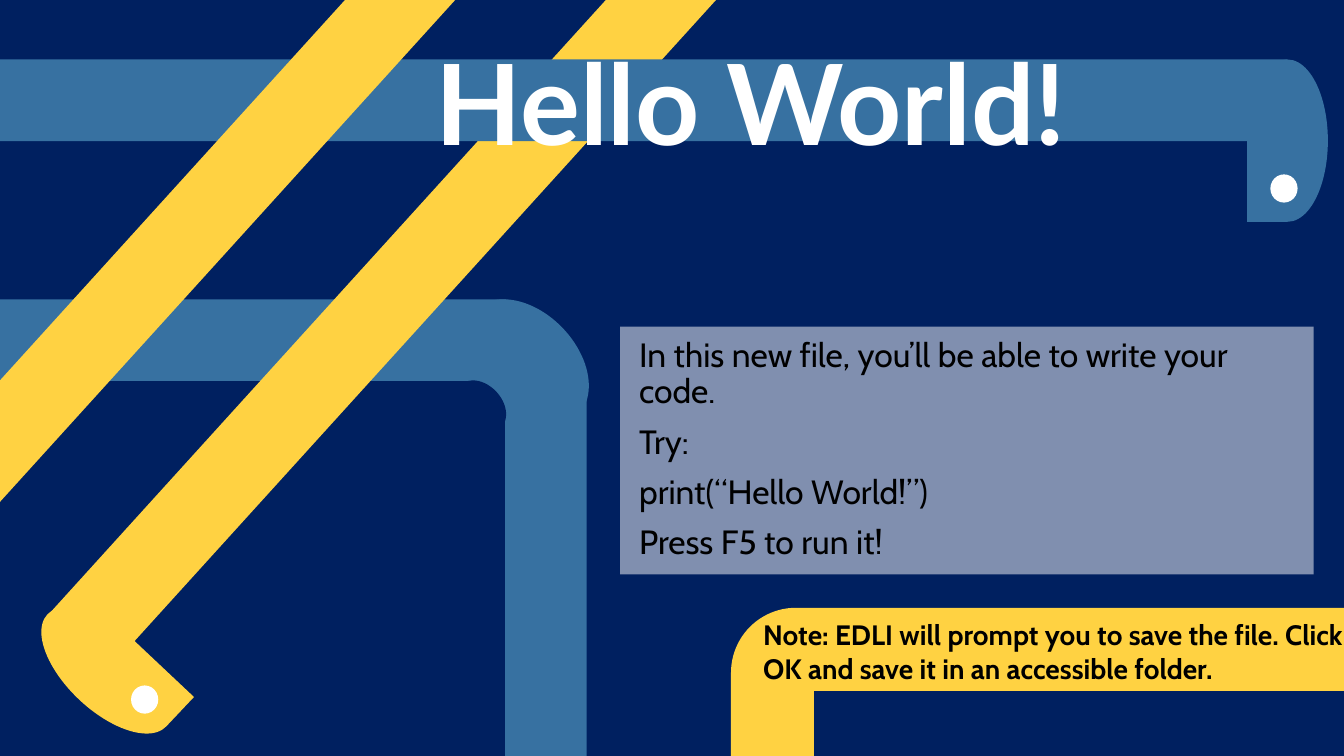
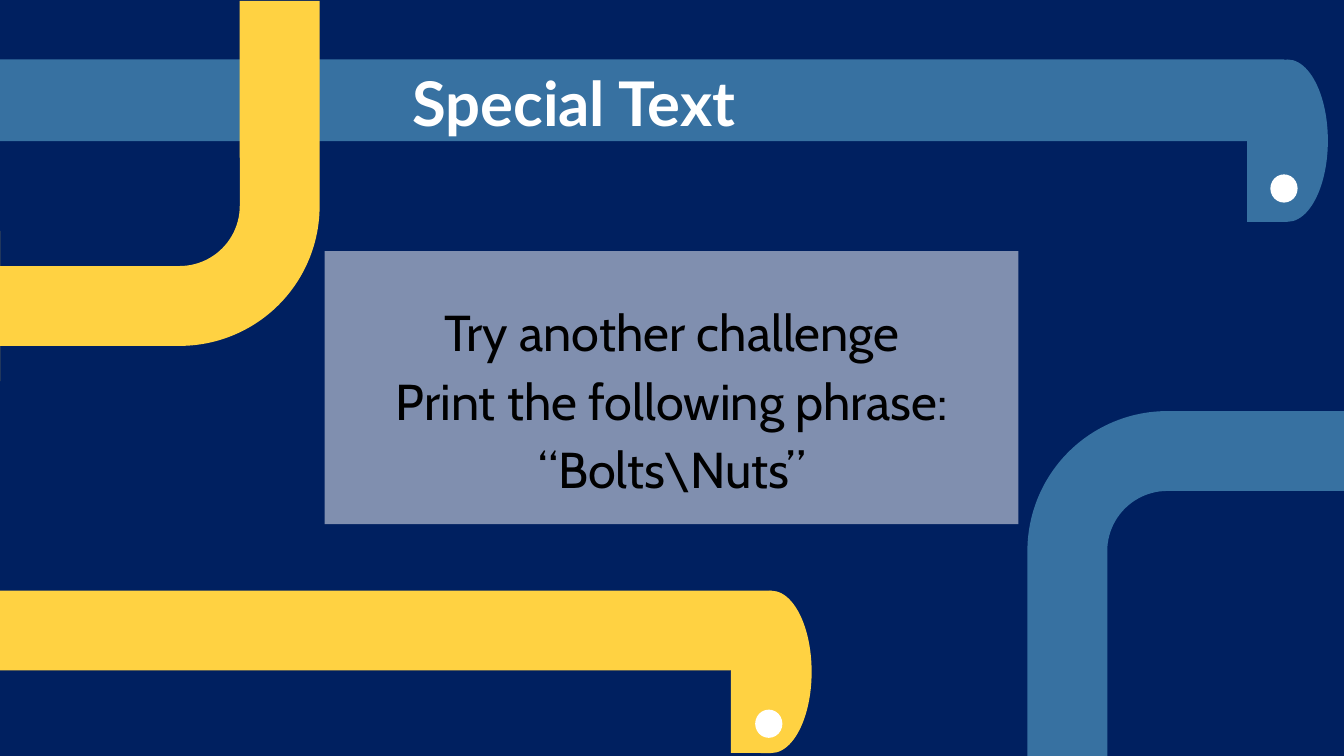
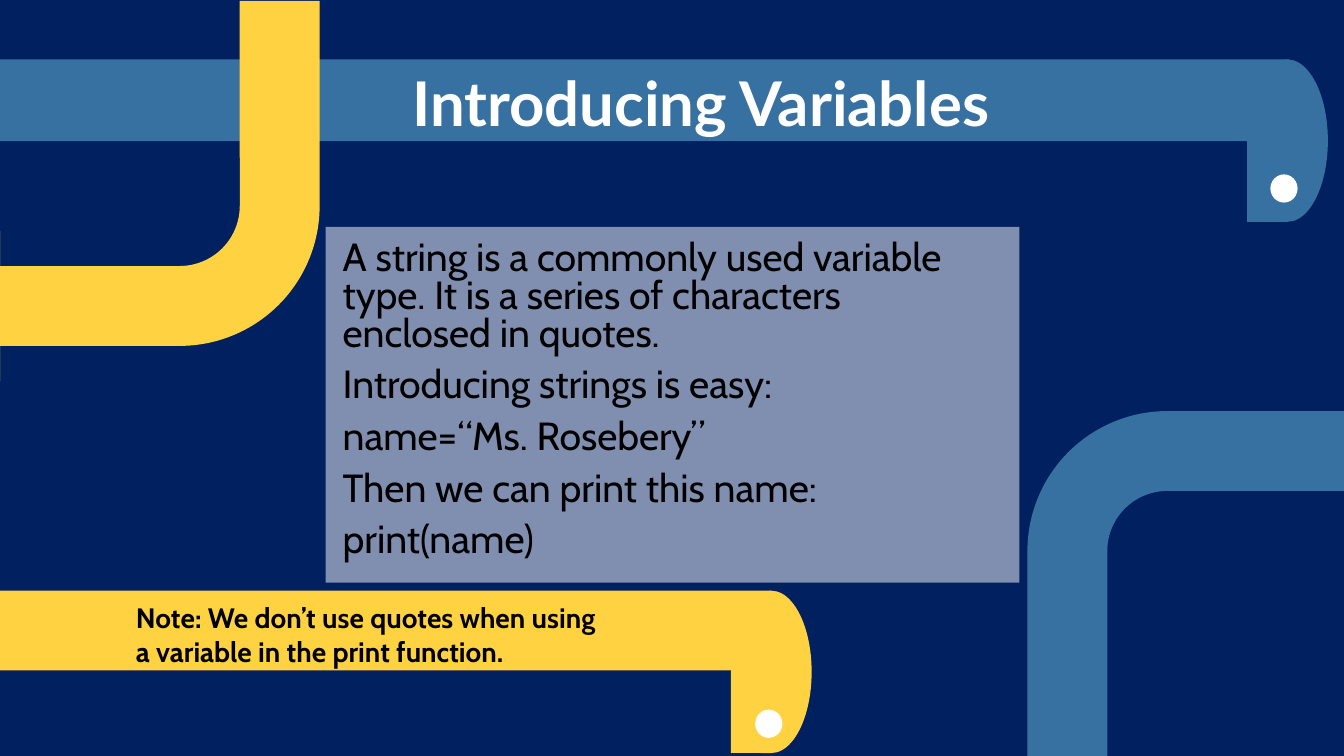
from dataclasses import dataclass

from lxml.etree import SubElement
from pptx import Presentation
from pptx.dml.color import RGBColor
from pptx.enum.shapes import MSO_SHAPE as Geometry
from pptx.enum.text import MSO_ANCHOR as Anchor, PP_ALIGN as Align
from pptx.oxml.ns import qn
from pptx.shapes.autoshape import Shape
from pptx.slide import Slide
from pptx.util import Inches, Pt

NAVY, BLUE, YELLOW = "002060", "3771A1", "FFD242"
WHITE, BLACK = "FFFFFF", "000000"

TITLE_FONT = {"name": "Lato", "bold": True, "size": Pt(44)}
BODY_FONT = {"name": "Cabin", "bold": False}
NOTE_FONT = {"name": "Cabin", "bold": True, "size": Pt(20)}
BODY_SPACING = {"line_spacing": 0.9, "space_before": Pt(10)}

BAND_TOP, BAND_HEIGHT = 0.59, 0.81
PIPE_BEND = (0.25, 0.235, 0, 0.438)
NOTE_BEND = (0.592, 0.28, 0, 0.438)


@dataclass(frozen=True)
class Box:
    left: float
    top: float
    width: float
    height: float

    def lengths(self) -> tuple[Inches, ...]:
        return tuple(map(Inches, (self.left, self.top, self.width, self.height)))


@dataclass(frozen=True)
class Part:
    """A filled piece of the drawing without an outline."""
    geometry: Geometry
    box: Box
    fill: str
    rotation: float = 0
    bend: tuple[float, ...] = ()
    opacity: int = 100


def rgb(colour: str) -> RGBColor:
    return RGBColor.from_string(colour)


def rect(box: Box, fill: str, rotation: float = 0) -> Part:
    return Part(Geometry.RECTANGLE, box, fill, rotation)


def panel(box: Box) -> Part:
    return Part(Geometry.RECTANGLE, box, WHITE, opacity=50)


def title_band(width: float) -> Part:
    return rect(Box(0, BAND_TOP, width, BAND_HEIGHT), BLUE)


def snake_head(left: float, top: float, fill: str) -> Part:
    return Part(Geometry.TEAR, Box(left, top, 0.8, 1.61), fill, 180)


def eye(left: float, top: float) -> Part:
    return Part(Geometry.FLOWCHART_CONNECTOR, Box(left, top, 0.27, 0.28), WHITE)


def pipe(left: float, top: float, fill: str, rotation: float = 0) -> Part:
    return Part(Geometry.BENT_ARROW, Box(left, top, 3.17, 3.77), fill, rotation, PIPE_BEND)


BLUE_HEAD = (snake_head(12.37, BAND_TOP, BLUE), eye(12.6, 1.73))
YELLOW_HEAD = (snake_head(7.25, 5.86, YELLOW), eye(7.49, 7.04))
PIPES = (pipe(10.19, 3.73, BLUE), pipe(0, 0.01, YELLOW, 180))
YELLOW_BAND = rect(Box(0, 5.86, 7.65, 0.79), YELLOW)


def draw(slide: Slide, *parts: Part) -> Shape:
    """Draw the parts from back to front and return the last one."""
    for part in parts:
        shape = slide.shapes.add_shape(part.geometry, *part.box.lengths())
        shape.shadow.inherit = False
        shape.line.fill.background()
        shape.fill.solid()
        shape.fill.fore_color.rgb = rgb(part.fill)
        shape.rotation = part.rotation
        for index, value in enumerate(part.bend):
            shape.adjustments[index] = value
        if part.opacity < 100:
            colour = shape.fill._xPr.find(qn("a:solidFill"))[0]
            SubElement(colour, qn("a:alpha")).set("val", str(part.opacity * 1000))
    return shape


def write(shape: Shape, lines: list[str], font: dict, colour: str,
          align: Align = Align.LEFT, spacing: dict | None = None) -> None:
    frame = shape.text_frame
    frame.word_wrap = True
    for index, line in enumerate(lines):
        paragraph = frame.paragraphs[0] if index == 0 else frame.add_paragraph()
        for name, value in {"alignment": align, **(spacing or {})}.items():
            setattr(paragraph, name, value)
        run = paragraph.add_run()
        run.text = line
        run.font.color.rgb = rgb(colour)
        for name, value in font.items():
            setattr(run.font, name, value)


def add_title(slide: Slide, title: str) -> None:
    heading = slide.shapes.add_textbox(*Box(3.99, BAND_TOP, 6.62, 1.14).lengths())
    write(heading, [title], TITLE_FONT, WHITE)


def add_body(slide: Slide, box: Box, lines: list[str], size: int,
             align: Align = Align.LEFT, line_spacing: float = 0.9) -> None:
    body = slide.shapes.add_textbox(*box.lengths())
    write(body, lines, {**BODY_FONT, "size": Pt(size)}, BLACK, align,
          {**BODY_SPACING, "line_spacing": line_spacing})


def add_note(slide: Slide, box: Box, note: str) -> None:
    write(slide.shapes.add_textbox(*box.lengths()), [note], NOTE_FONT, BLACK)


def new_slide(deck: Presentation) -> Slide:
    slide = deck.slides.add_slide(deck.slide_layouts[6])
    slide.background.fill.solid()
    slide.background.fill.fore_color.rgb = rgb(NAVY)
    return slide


def hello_world(deck: Presentation) -> None:
    slide = new_slide(deck)
    draw(
        slide,
        rect(Box(3.53, 5.21, 3.77, BAND_HEIGHT), BLUE, 270),
        Part(Geometry.FLOWCHART_DELAY, Box(4.72, 2.87, 1, 1.46), BLUE, 316.3),
        rect(Box(0, 2.97, 5.02, BAND_HEIGHT), BLUE),
        rect(Box(-0.74, 2.59, 9.16, BAND_HEIGHT), YELLOW, 312.2),
        Part(Geometry.OVAL, Box(4.56, 3.74, 0.42, 0.58), NAVY, 137.3),
        panel(Box(6.15, 3.24, 6.88, 2.46)),
        Part(Geometry.BENT_ARROW, Box(7.25, 6.03, 6.12, 1.47), YELLOW, bend=NOTE_BEND),
    )
    add_body(slide, Box(6.24, 3.31, 6.69, 2.51), [
        "In this new file, you’ll be able to write your code.",
        "Try:",
        "print(“Hello World!”)",
        "Press F5 to run it!",
    ], 24)
    add_note(slide, Box(7.47, 6.08, 6.12, 1.08),
             "Note: EDLI will prompt you to save the file. "
             "Click OK and save it in an accessible folder.")
    blue_head, blue_eye = BLUE_HEAD
    heading = draw(slide, blue_head, title_band(12.77))
    heading.text_frame.margin_left = Inches(2.23)
    heading.text_frame.vertical_anchor = Anchor.MIDDLE
    write(heading, ["Hello World!"], {**TITLE_FONT, "size": Pt(80)}, WHITE, Align.CENTER)
    draw(
        slide,
        Part(Geometry.TEAR, Box(0.25, 6.25, 1.62, 0.8), YELLOW, 43.3),
        eye(1.3, 6.8),
        blue_eye,
        rect(Box(-1.59, 1.76, 7.19, BAND_HEIGHT), YELLOW, 312.2),
    )


def special_text(deck: Presentation) -> None:
    slide = new_slide(deck)
    draw(slide, title_band(12.74), panel(Box(3.22, 2.49, 6.88, 2.71)), *PIPES,
         YELLOW_BAND, *BLUE_HEAD, *YELLOW_HEAD)
    add_title(slide, "Special Text")
    add_body(slide, Box(3.32, 3.01, 6.69, 2.04), [
        "Try another challenge",
        "Print the following phrase:",
        "“Bolts\\Nuts”",
    ], 36, Align.CENTER)


def introducing_variables(deck: Presentation) -> None:
    slide = new_slide(deck)
    draw(slide, title_band(12.79), panel(Box(3.23, 2.25, 6.88, 3.53)), *PIPES,
         YELLOW_BAND, *BLUE_HEAD, *YELLOW_HEAD)
    add_title(slide, "Introducing Variables")
    add_body(slide, Box(3.3, 2.35, 6.69, 3.36), [
        "A string is a commonly used variable type. "
        "It is a series of characters enclosed in quotes.",
        "Introducing strings is easy:",
        "name=“Ms. Rosebery”",
        "Then we can print this name:",
        "print(name)",
    ], 28, line_spacing=0.8)
    add_note(slide, Box(1.25, 5.91, 4.86, 1.08),
             "Note: We don’t use quotes when using a variable in the print function.")


def main() -> None:
    deck = Presentation()
    deck.slide_width, deck.slide_height = Inches(13.33), Inches(7.5)
    for build in (hello_world, special_text, introducing_variables):
        build(deck)
    deck.save("out.pptx")


if __name__ == "__main__":
    main()
